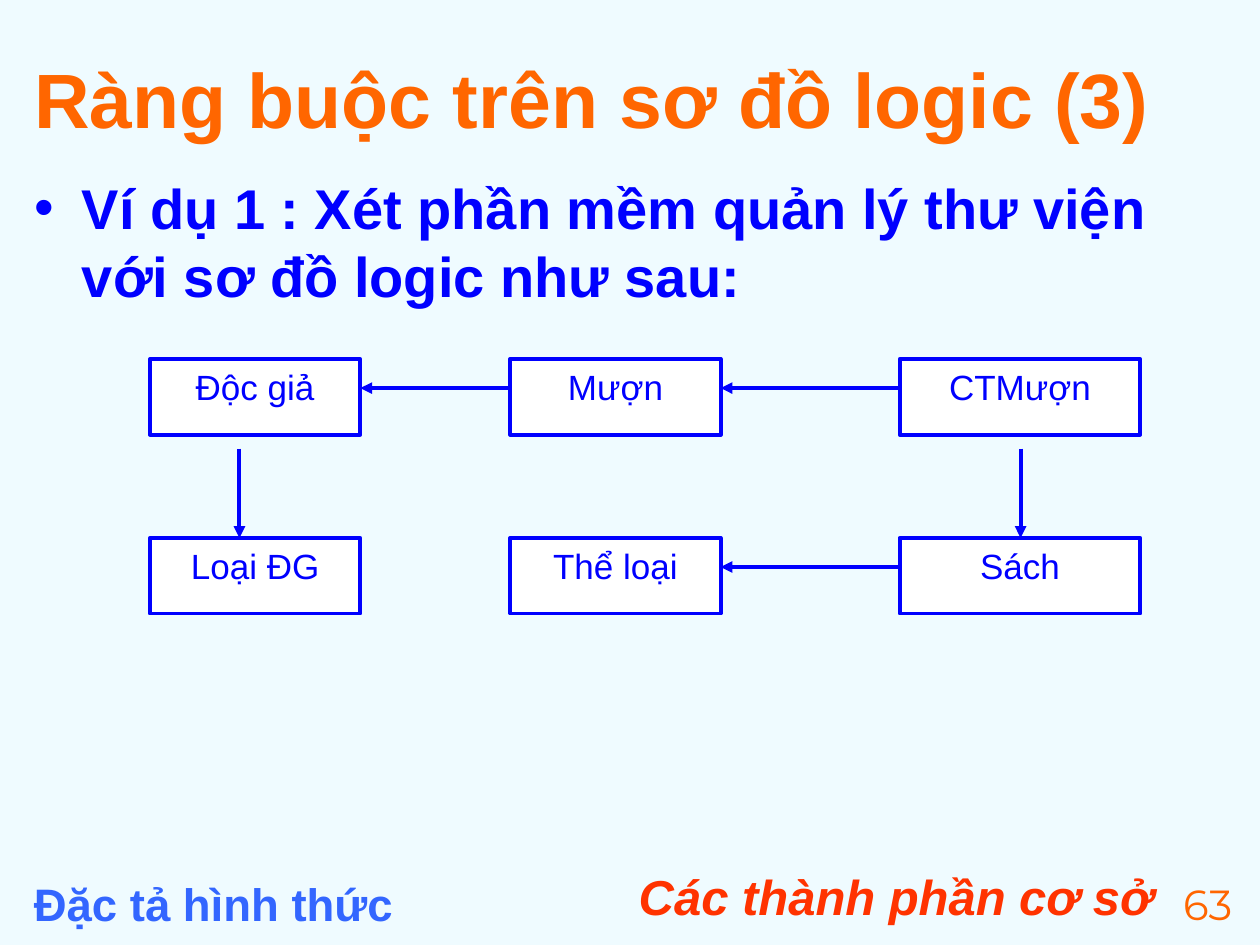
import dataclasses

import pptx
import pptx.dml.color
import pptx.enum.shapes
import pptx.enum.text
import pptx.oxml.ns
import pptx.util
from lxml import etree

Inches = pptx.util.Inches
Pt = pptx.util.Pt
ALIGN = pptx.enum.text.PP_ALIGN
ANCHOR = pptx.enum.text.MSO_ANCHOR
qn = pptx.oxml.ns.qn
BLUE = "0000FF"
ORANGE = "FF6600"


@dataclasses.dataclass
class Style:
    size: float
    color: str
    bold: bool = False
    italic: bool = False
    font: str = "Arial"
    align: ALIGN = ALIGN.LEFT
    anchor: ANCHOR = ANCHOR.TOP


@dataclasses.dataclass
class Label:
    text: str
    box: tuple[float, float, float, float]
    style: Style


@dataclasses.dataclass
class Node:
    text: str
    column: int
    row: int


@dataclasses.dataclass
class Arrow:
    start: tuple[float, float]
    end: tuple[float, float]


def rgb(color: str) -> pptx.dml.color.RGBColor:
    return pptx.dml.color.RGBColor.from_string(color)


def place(sp, box: tuple[float, float, float, float]) -> None:
    sp.left, sp.top, sp.width, sp.height = map(Inches, box)


def write(sp, text: str, style: Style, bullet: str = "") -> None:
    tf = sp.text_frame
    tf.text = text
    tf.word_wrap = True
    tf.auto_size = pptx.enum.text.MSO_AUTO_SIZE.NONE
    tf.vertical_anchor = style.anchor
    p = tf.paragraphs[0]
    p.alignment = style.align
    p.space_before = Pt(0)
    if bullet:
        pPr = p._p.get_or_add_pPr()
        pPr.set("marL", str(Inches(0.38)))
        pPr.set("indent", str(-Inches(0.38)))
        buClr = etree.SubElement(pPr, qn("a:buClr"))
        etree.SubElement(buClr, qn("a:srgbClr"), val=style.color)
        etree.SubElement(pPr, qn("a:buChar"), char=bullet)
    for r in p.runs:
        r.font.name = style.font
        r.font.size = Pt(style.size)
        r.font.bold = style.bold
        r.font.italic = style.italic
        r.font.color.rgb = rgb(style.color)


def draw_label(s: pptx.slide.Slide, label: Label) -> None:
    sp = s.shapes.add_textbox(*map(Inches, label.box))
    write(sp, label.text, label.style)


def draw_node(s: pptx.slide.Slide, node: Node) -> None:
    left, width = COLUMNS[node.column]
    sp = s.shapes.add_shape(
        pptx.enum.shapes.MSO_SHAPE.RECTANGLE,
        *map(Inches, (left, ROWS[node.row], width, NODE_HEIGHT)),
    )
    sp.shadow.inherit = False
    sp.fill.solid()
    sp.fill.fore_color.rgb = rgb("FFFFFF")
    sp.line.color.rgb = rgb(BLUE)
    sp.line.width = Pt(2.25)
    write(sp, node.text, Style(20, BLUE, align=ALIGN.CENTER))


def draw_arrow(s: pptx.slide.Slide, arrow: Arrow) -> None:
    c = s.shapes.add_connector(
        pptx.enum.shapes.MSO_CONNECTOR.STRAIGHT,
        *map(Inches, arrow.start + arrow.end),
    )
    c.line.color.rgb = rgb(BLUE)
    c.line.width = Pt(2.25)
    etree.SubElement(c.line._get_or_add_ln(), qn("a:tailEnd"), type="triangle")
    etree.SubElement(c._element.spPr, qn("a:effectLst"))


def leftward(source: int, target: int, row: int) -> Arrow:
    y = ROWS[row] + 0.23
    left, width = COLUMNS[target]
    return Arrow((COLUMNS[source][0], y), (left + width, y))


def downward(x: float) -> Arrow:
    return Arrow((x, 3.56), (x, ROWS[1]))


COLUMNS = [(1.19, 1.67), (4.05, 1.67), (7.14, 1.91)]
ROWS = [2.85, 4.27]
NODE_HEIGHT = 0.6

NODES = [
    Node("Độc giả", 0, 0),
    Node("Loại ĐG", 0, 1),
    Node("Mượn", 1, 0),
    Node("CTMượn", 2, 0),
    Node("Sách", 2, 1),
    Node("Thể loại", 1, 1),
]
ARROWS = [
    downward(1.9),
    leftward(1, 0, 0),
    leftward(2, 1, 0),
    downward(8.1),
    leftward(2, 1, 1),
]
LABELS = [
    Label("Các thành phần cơ sở", (4.08, 6.83, 5.17, 0.52),
          Style(28, "FF3300", bold=True, italic=True, align=ALIGN.RIGHT)),
    Label("Đặc tả hình thức", (0.17, 6.9, 4.75, 0.44),
          Style(26, "3366FF", bold=True)),
    Label("63", (9.25, 6.92, 0.67, 0.44),
          Style(24, ORANGE, font="Montserrat", align=ALIGN.CENTER)),
]


def main() -> None:
    prs = pptx.Presentation()
    prs.slide_width = Inches(10)
    prs.slide_height = Inches(7.5)
    s = prs.slides.add_slide(prs.slide_layouts[1])
    s.background.fill.solid()
    s.background.fill.fore_color.rgb = rgb("EFFBFF")

    title = s.shapes.title
    place(title, (0.17, 0.3, 9.74, 0.95))
    write(title, "Ràng buộc trên sơ đồ logic (3)",
          Style(44, ORANGE, bold=True, anchor=ANCHOR.MIDDLE))

    body = s.placeholders[1]
    place(body, (0.17, 1.33, 9.71, 5.42))
    write(body, "Ví dụ 1 : Xét phần mềm quản lý thư viện với sơ đồ logic như sau:",
          Style(32, BLUE, bold=True), bullet="•")

    for label in LABELS:
        draw_label(s, label)
    for node in NODES:
        draw_node(s, node)
    for arrow in ARROWS:
        draw_arrow(s, arrow)
    prs.save("out.pptx")


if __name__ == "__main__":
    main()
